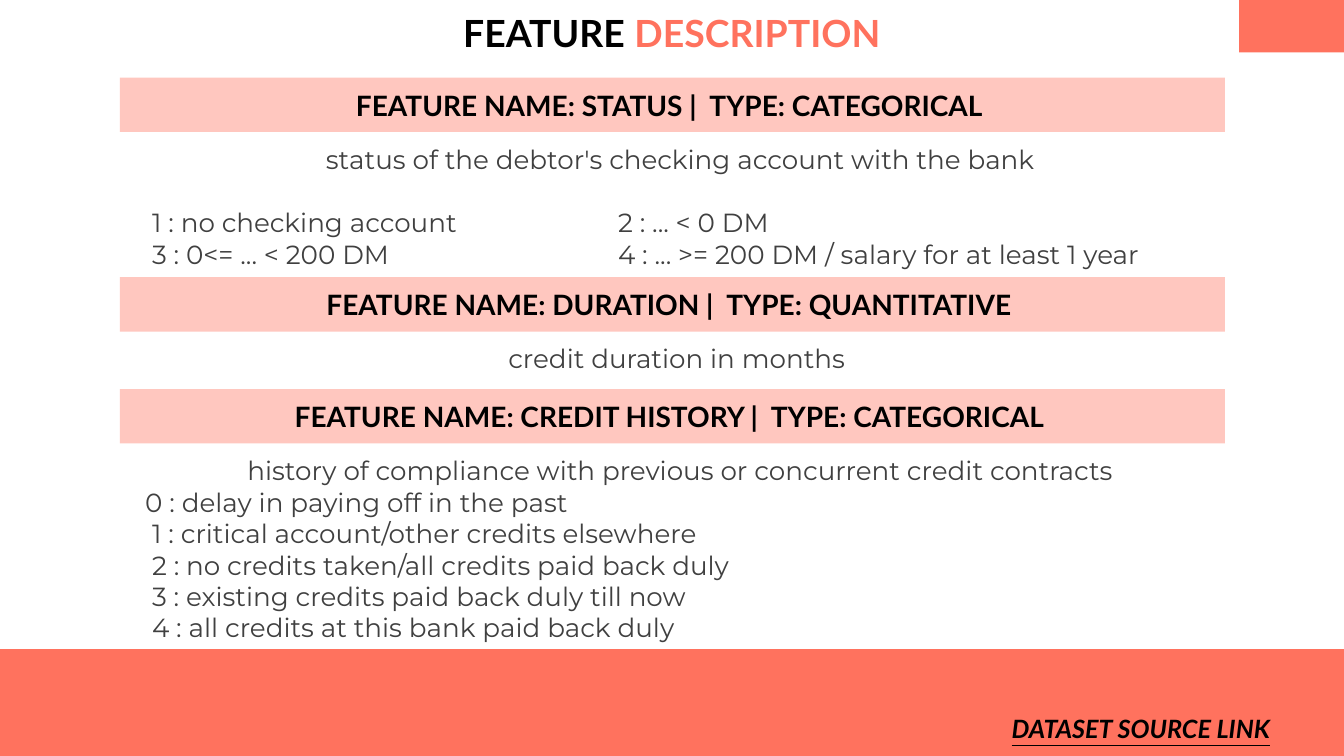
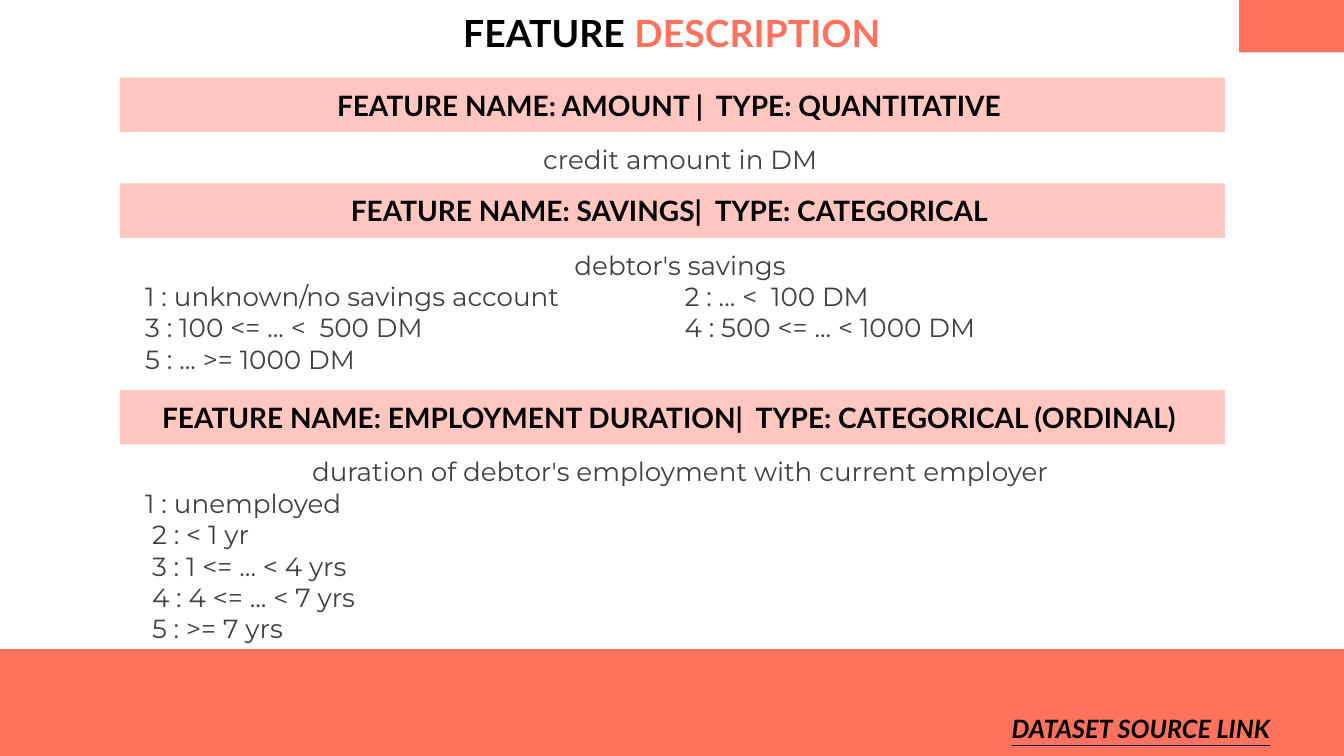
from dataclasses import dataclass
from typing import Optional

from lxml.etree import SubElement
from pptx import Presentation
from pptx.dml.color import RGBColor
from pptx.enum.shapes import MSO_SHAPE as Preset
from pptx.enum.text import MSO_ANCHOR as Anchor, PP_ALIGN as Align
from pptx.oxml.ns import qn
from pptx.slide import Slide
from pptx.text.text import TextFrame, _Paragraph as Paragraph, _Run as Run
from pptx.util import Inches, Pt

CORAL = RGBColor(0xFF, 0x72, 0x5E)
PINK = RGBColor(0xFF, 0xC7, 0xBF)
BLACK = RGBColor(0, 0, 0)
GRAY = RGBColor(0x40, 0x40, 0x40)

HEADING_FONT = "Lato"
BODY_FONT = "Montserrat"
BODY_SIZE = 18.7
LINE_HEIGHT = 0.31
SLIDE_WIDTH = 13.33
SLIDE_HEIGHT = 7.5
CONTENT_LEFT = 1.19
CONTENT_WIDTH = 10.96
BAND_HEIGHT = 0.54
BODY_OFFSET = 0.55


@dataclass(frozen=True)
class Box:
    left: float
    top: float
    width: float
    height: float

    def lengths(self) -> tuple[Inches, ...]:
        return tuple(map(Inches, (self.left, self.top, self.width, self.height)))


@dataclass(frozen=True)
class Feature:
    top: float
    name: str
    kind: str
    description: str
    options: tuple[str, ...] = ()
    second_column: Optional[float] = None
    gap_after_description: float = 0


FOOTER_BAND = Box(0, 6.44, SLIDE_WIDTH, 1.06)
CORNER_BLOCK = Box(12.29, 0, 1.04, 0.52)
TITLE_BOX = Box(0.87, 0, 11.59, 0.65)
SOURCE_BOX = Box(9.29, 6.96, 4.05, 0.54)

FEATURE_SLIDES = (
    (
        Feature(
            0.77, "STATUS ", "CATEGORICAL",
            "status of the debtor's checking account with the bank",
            (
                " 1 : no checking account\t2 : ... < 0 DM",
                " 3 : 0<= ... < 200 DM\t4 : ... >= 200 DM / salary for at least 1 year",
            ),
            second_column=4.69,
            gap_after_description=22.8,
        ),
        Feature(2.75, "DURATION ", "QUANTITATIVE", "credit duration in months "),
        Feature(
            3.86, "CREDIT HISTORY ", "CATEGORICAL",
            "history of compliance with previous or concurrent credit contracts",
            (
                "0 : delay in paying off in the past",
                " 1 : critical account/other credits elsewhere",
                " 2 : no credits taken/all credits paid back duly",
                " 3 : existing credits paid back duly till now",
                " 4 : all credits at this bank paid back duly",
            ),
        ),
    ),
    (
        Feature(0.77, "AMOUNT ", "QUANTITATIVE", "credit amount in DM"),
        Feature(
            1.82, "SAVINGS", "CATEGORICAL", "debtor's savings",
            (
                "1 : unknown/no savings account\t2 : ... <  100 DM",
                "3 : 100 <= ... <  500 DM\t4 : 500 <= ... < 1000 DM",
                "5 : ... >= 1000 DM",
            ),
            second_column=5.35,
        ),
        Feature(
            3.87, "EMPLOYMENT DURATION", "CATEGORICAL (ORDINAL)",
            "duration of debtor's employment with current employer",
            (
                "1 : unemployed",
                " 2 : < 1 yr",
                " 3 : 1 <= ... < 4 yrs",
                " 4 : 4 <= ... < 7 yrs",
                " 5 : >= 7 yrs",
            ),
        ),
    ),
)


def format_run(run: Run, font_name: str, size: float, color: RGBColor, bold: bool = False) -> None:
    run.font.name = font_name
    run.font.size = Pt(size)
    run.font.color.rgb = color
    run.font.bold = bold


def add_rectangle(slide: Slide, box: Box, color: RGBColor) -> TextFrame:
    shape = slide.shapes.add_shape(Preset.RECTANGLE, *box.lengths())
    shape.shadow.inherit = False
    shape.fill.solid()
    shape.fill.fore_color.rgb = color
    shape.line.fill.background()
    return shape.text_frame


def add_text_box(slide: Slide, box: Box, anchor: Anchor) -> TextFrame:
    text_frame = slide.shapes.add_textbox(*box.lengths()).text_frame
    text_frame.word_wrap = True
    text_frame.vertical_anchor = anchor
    return text_frame


def write_heading(text_frame: TextFrame, text: str, size: float) -> Run:
    text_frame.text = text
    paragraph = text_frame.paragraphs[0]
    paragraph.alignment = Align.CENTER
    run = paragraph.runs[0]
    format_run(run, HEADING_FONT, size, BLACK, bold=True)
    return run


def add_tab_stop(paragraph: Paragraph, position: float) -> None:
    properties = paragraph._p.get_or_add_pPr()
    tab_list = SubElement(properties, qn("a:tabLst"))
    SubElement(tab_list, qn("a:tab"), pos=str(int(Inches(position))), algn="l")


def add_frame(slide: Slide) -> None:
    add_rectangle(slide, FOOTER_BAND, CORAL)
    add_rectangle(slide, CORNER_BLOCK, CORAL)

    title = add_text_box(slide, TITLE_BOX, Anchor.MIDDLE)
    write_heading(title, "FEATURE ", 26.7)
    accent = title.paragraphs[0].add_run()
    accent.text = "DESCRIPTION"
    format_run(accent, HEADING_FONT, 26.7, CORAL, bold=True)

    source = add_text_box(slide, SOURCE_BOX, Anchor.MIDDLE)
    source_run = write_heading(source, "DATASET SOURCE LINK", 18)
    source_run.font.italic = True
    source_run.font.underline = True


def add_feature(slide: Slide, feature: Feature) -> None:
    band_box = Box(CONTENT_LEFT, feature.top, CONTENT_WIDTH, BAND_HEIGHT)
    band = add_rectangle(slide, band_box, PINK)
    band.vertical_anchor = Anchor.MIDDLE
    write_heading(band, f"FEATURE NAME: {feature.name}|  TYPE: {feature.kind} ", 20)

    lines = (feature.description, *feature.options)
    height = 0.2 + LINE_HEIGHT * len(lines) + feature.gap_after_description / 72
    body_box = Box(CONTENT_LEFT, feature.top + BODY_OFFSET, CONTENT_WIDTH, height)
    body = add_text_box(slide, body_box, Anchor.TOP)
    body.margin_left = Inches(0.25)
    body.margin_top = body.margin_bottom = Inches(0.1)
    body.text = "\n".join(lines)
    for paragraph in body.paragraphs:
        paragraph.alignment = Align.LEFT
        if feature.second_column is not None:
            add_tab_stop(paragraph, feature.second_column)
        for run in paragraph.runs:
            format_run(run, BODY_FONT, BODY_SIZE, GRAY)
    description = body.paragraphs[0]
    description.alignment = Align.CENTER
    description.space_after = Pt(feature.gap_after_description)


def main() -> None:
    presentation = Presentation()
    presentation.slide_width = Inches(SLIDE_WIDTH)
    presentation.slide_height = Inches(SLIDE_HEIGHT)
    blank_layout = presentation.slide_layouts[6]
    for features in FEATURE_SLIDES:
        slide = presentation.slides.add_slide(blank_layout)
        add_frame(slide)
        for feature in features:
            add_feature(slide, feature)
    presentation.save("out.pptx")


if __name__ == "__main__":
    main()
